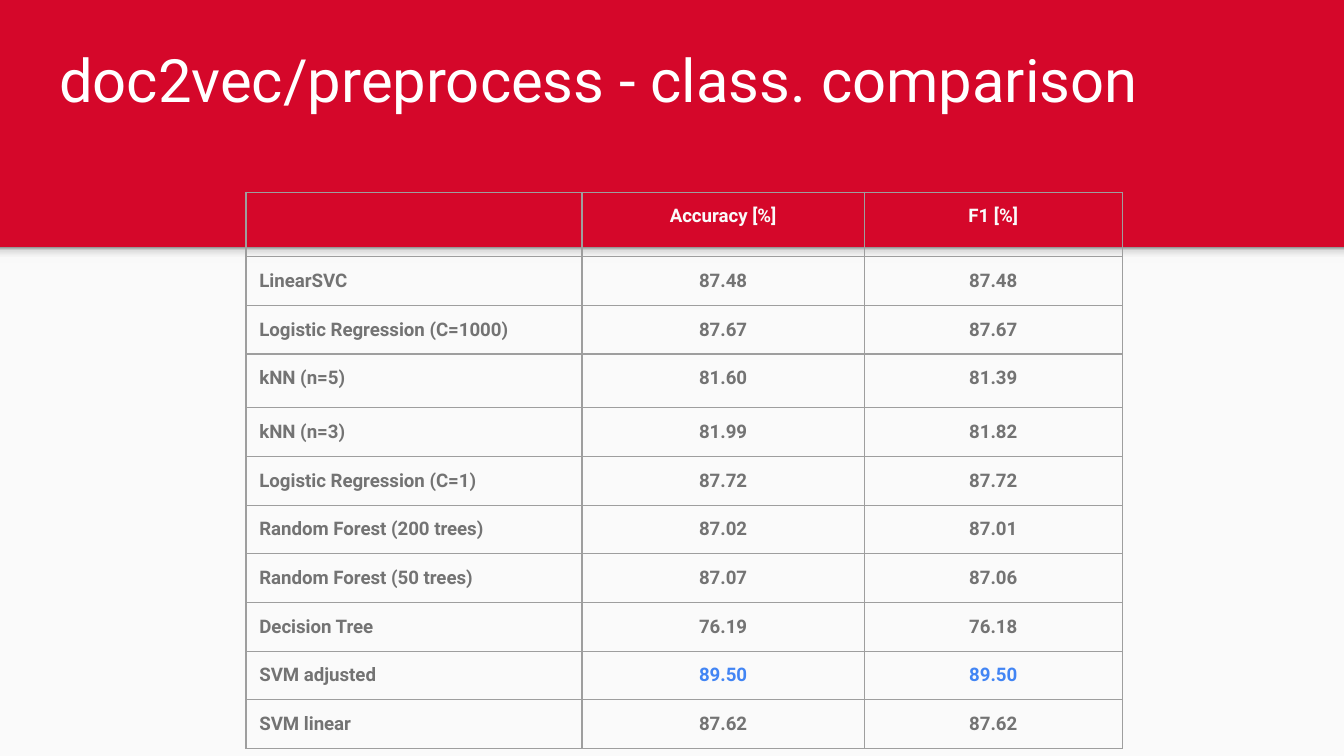
from dataclasses import dataclass
from typing import NamedTuple

from lxml import etree
from pptx import Presentation, util as u
from pptx.dml.color import RGBColor
from pptx.enum import shapes, text
from pptx.oxml import ns

WIDTH = u.Inches(10)
HEIGHT = u.Emu(WIDTH * 9 // 16)
GRID_COLUMNS = 10
GRID_ROWS = GRID_COLUMNS * 9 / 16


@dataclass(frozen=True)
class Theme:
    font: str = "Roboto"
    title_size: float = 32
    cell_size: float = 10
    border_width: float = 0.75
    inset: float = 0.1
    background: str = "D5072A"
    panel: str = "FAFAFA"
    title: str = "FFFFFF"
    body: str = "737373"
    highlight: str = "4285F4"
    border: str = "9E9E9E"
    shadow: tuple = ((0, "F9F9F9"), (36, "F9F9F9"), (80, "DEDEDE"), (100, "999999"))


def grid(units: float) -> u.Emu:
    return u.Emu(round(units * WIDTH / GRID_COLUMNS))


class Box(NamedTuple):
    left: float
    top: float
    width: float
    height: float

    def lengths(self) -> list:
        return [grid(units) for units in self]


class Result(NamedTuple):
    classifier: str
    accuracy: str
    f1: str
    best: bool = False


THEME = Theme()
PANEL_TOP = 1.84
PANEL = Box(0, PANEL_TOP, GRID_COLUMNS, GRID_ROWS - PANEL_TOP)
SHADOW = Box(0, PANEL_TOP, GRID_COLUMNS, 0.12)
TITLE = Box(0.34, 0.32, 9.32, 0.63)
TABLE_LEFT, TABLE_TOP = 1.83, 1.43
COLUMNS = (2.5, 2.1, 1.92)
HEADER_HEIGHT, ROW_HEIGHT, TALL_ROW_HEIGHT = 0.48, 0.36, 0.4
TALL_ROW = 3
HEADER = Result("", "Accuracy [%]", "F1 [%]")
RESULTS = (
    Result("LinearSVC", "87.48", "87.48"),
    Result("Logistic Regression (C=1000)", "87.67", "87.67"),
    Result("kNN (n=5)", "81.60", "81.39"),
    Result("kNN (n=3)", "81.99", "81.82"),
    Result("Logistic Regression (C=1)", "87.72", "87.72"),
    Result("Random Forest (200 trees)", "87.02", "87.01"),
    Result("Random Forest (50 trees)", "87.07", "87.06"),
    Result("Decision Tree", "76.19", "76.18"),
    Result("SVM adjusted", "89.50", "89.50", best=True),
    Result("SVM linear", "87.62", "87.62"),
)


def rgb(color: str) -> RGBColor:
    return RGBColor.from_string(color)


def format_runs(paragraph, size: float, color: str, bold: bool = False) -> None:
    for run in paragraph.runs:
        run.font.name = THEME.font
        run.font.size = u.Pt(size)
        run.font.bold = bold
        run.font.color.rgb = rgb(color)


def add_rectangle(slide, box: Box):
    shape = slide.shapes.add_shape(shapes.MSO_SHAPE.RECTANGLE, *box.lengths())
    shape.shadow.inherit = False
    shape.line.fill.background()
    shape.fill.solid()
    shape.fill.fore_color.rgb = rgb(THEME.panel)
    return shape


def add_panel_shadow(slide) -> None:
    fill = add_rectangle(slide, SHADOW).fill
    fill.gradient()
    fill.gradient_angle = 90
    stops = fill._fill._gradFill.find(ns.qn("a:gsLst"))
    for stop in list(stops):
        stops.remove(stop)
    for position, color in THEME.shadow:
        stop = etree.SubElement(stops, ns.qn("a:gs"), pos=str(position * 1000))
        etree.SubElement(stop, ns.qn("a:srgbClr"), val=color)


def set_title(slide, wording: str) -> None:
    title = slide.shapes.title
    title.left, title.top, title.width, title.height = TITLE.lengths()
    frame = title.text_frame
    frame.text = wording
    frame.word_wrap = True
    frame.auto_size = text.MSO_AUTO_SIZE.NONE
    frame.vertical_anchor = text.MSO_ANCHOR.BOTTOM
    frame.margin_left = frame.margin_right = u.Inches(THEME.inset)
    frame.margin_top = frame.margin_bottom = u.Inches(THEME.inset)
    frame.paragraphs[0].alignment = text.PP_ALIGN.LEFT
    format_runs(frame.paragraphs[0], THEME.title_size, THEME.title)


def add_borders(cell) -> None:
    properties = cell._tc.get_or_add_tcPr()
    for index, side in enumerate(("lnL", "lnR", "lnT", "lnB")):
        line = etree.Element(ns.qn(f"a:{side}"), w=str(u.Pt(THEME.border_width)))
        fill = etree.SubElement(line, ns.qn("a:solidFill"))
        etree.SubElement(fill, ns.qn("a:srgbClr"), val=THEME.border)
        properties.insert(index, line)


def fill_cell(cell, wording: str, color: str, centred: bool) -> None:
    cell.fill.background()
    add_borders(cell)
    cell.margin_left = cell.margin_right = u.Inches(THEME.inset)
    cell.margin_top = cell.margin_bottom = u.Inches(THEME.inset if wording else 0)
    paragraph = cell.text_frame.paragraphs[0]
    paragraph.text = wording
    paragraph.alignment = text.PP_ALIGN.CENTER if centred else text.PP_ALIGN.LEFT
    format_runs(paragraph, THEME.cell_size, color, bold=True)


def add_results_table(slide) -> None:
    rows = (HEADER, *RESULTS)
    heights = [HEADER_HEIGHT] + [ROW_HEIGHT] * len(RESULTS)
    heights[TALL_ROW] = TALL_ROW_HEIGHT
    box = Box(TABLE_LEFT, TABLE_TOP, sum(COLUMNS), sum(heights))
    table = slide.shapes.add_table(len(rows), len(COLUMNS), *box.lengths()).table
    table.first_row = table.horz_banding = False
    for column, units in zip(table.columns, COLUMNS):
        column.width = grid(units)
    for row_index, (result, height) in enumerate(zip(rows, heights)):
        table.rows[row_index].height = grid(height)
        label_color = THEME.panel if result is HEADER else THEME.body
        value_color = THEME.highlight if result.best else label_color
        for column_index, wording in enumerate(result[:len(COLUMNS)]):
            color = value_color if column_index else label_color
            fill_cell(table.cell(row_index, column_index), wording, color, column_index > 0)


def main() -> None:
    presentation = Presentation()
    presentation.slide_width, presentation.slide_height = WIDTH, HEIGHT
    slide = presentation.slides.add_slide(presentation.slide_layouts.get_by_name("Title Only"))
    slide.background.fill.solid()
    slide.background.fill.fore_color.rgb = rgb(THEME.background)
    add_rectangle(slide, PANEL)
    add_panel_shadow(slide)
    set_title(slide, "doc2vec/preprocess - class. comparison")
    add_results_table(slide)
    presentation.save("out.pptx")


if __name__ == "__main__":
    main()
